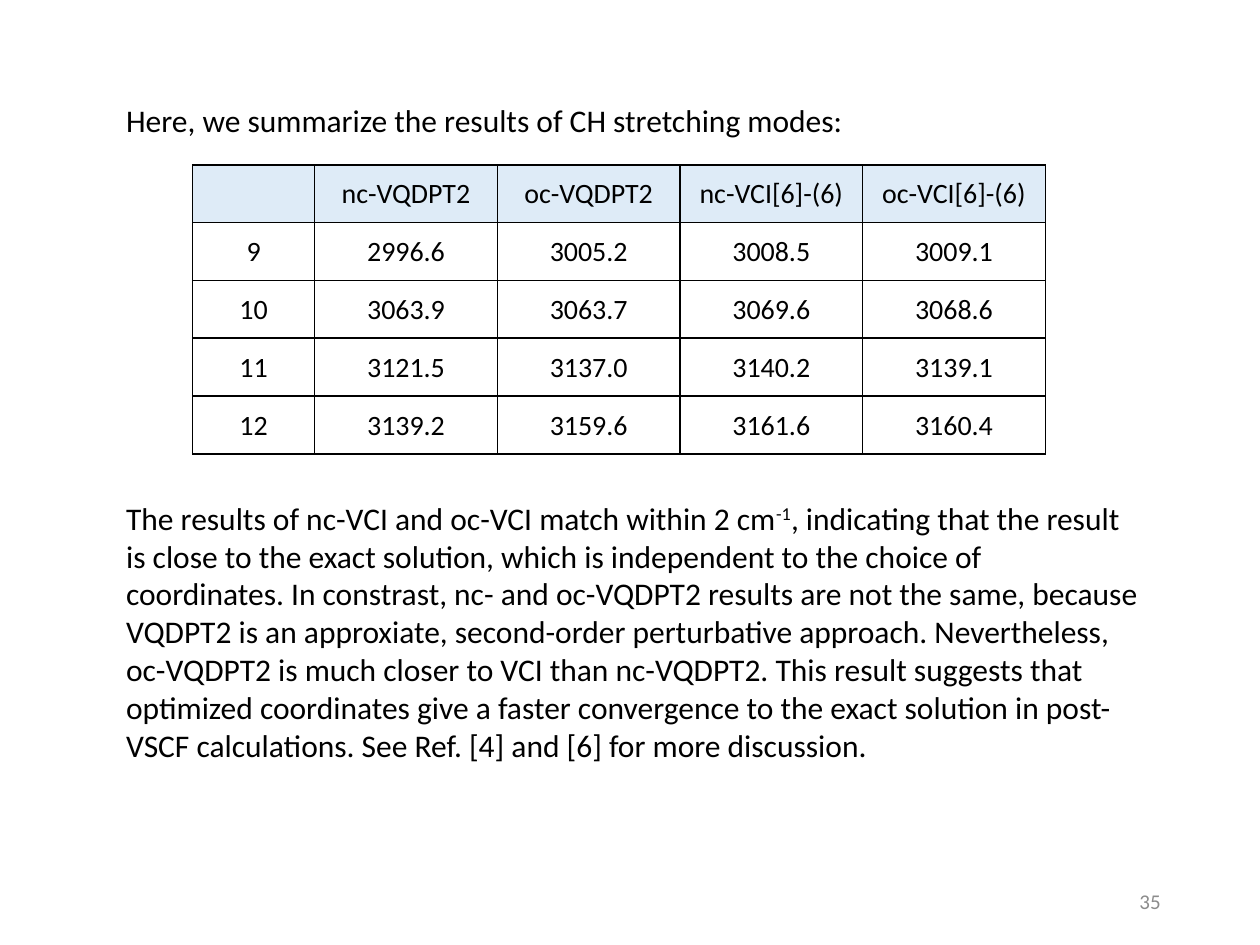
from lxml.etree import SubElement
from pptx import Presentation
from pptx.dml.color import RGBColor
from pptx.enum.text import MSO_ANCHOR, MSO_AUTO_SIZE, PP_ALIGN
from pptx.oxml.ns import qn
from pptx.util import Pt

BLACK, GRAY, WHITE, HEADER_BLUE = "000000", "8C8C8C", "FFFFFF", "DEEBF7"

FREQUENCIES = [
    ["", "nc-VQDPT2", "oc-VQDPT2", "nc-VCI[6]-(6)", "oc-VCI[6]-(6)"],
    ["9", "2996.6", "3005.2", "3008.5", "3009.1"],
    ["10", "3063.9", "3063.7", "3069.6", "3068.6"],
    ["11", "3121.5", "3137.0", "3140.2", "3139.1"],
    ["12", "3139.2", "3159.6", "3161.6", "3160.4"],
]
INTRO = "Here, we summarize the results of CH stretching modes:"
DISCUSSION = (
    "The results of nc-VCI and oc-VCI match within 2 cm",
    "-1",
    ", indicating that the result is close to the exact solution, which is "
    "independent to the choice of coordinates. In constrast, nc- and oc-VQDPT2 "
    "results are not the same, because VQDPT2 is an approxiate, second-order "
    "perturbative approach. Nevertheless, oc-VQDPT2 is much closer to VCI than "
    "nc-VQDPT2. This result suggests that optimized coordinates give a faster "
    "convergence to the exact solution in post-VSCF calculations. "
    "See Ref. [4] and [6] for more discussion.",
)


def color(hex_string):
    return RGBColor.from_string(hex_string)


def set_font(font, size, hex_string=BLACK):
    for name, value in {"name": "Calibri", "size": Pt(size), "bold": False}.items():
        setattr(font, name, value)
    font.color.rgb = color(hex_string)


def add_text(slide, box, parts, size=18, hex_string=BLACK, align=PP_ALIGN.LEFT, **frame_format):
    """Write one paragraph; every second part is a superscript."""
    frame = slide.shapes.add_textbox(*map(Pt, box)).text_frame
    for name, value in {"word_wrap": True, **frame_format}.items():
        setattr(frame, name, value)
    paragraph = frame.paragraphs[0]
    paragraph.alignment = align
    for index, part in enumerate(parts):
        run = paragraph.add_run()
        run.text = part
        set_font(run.font, size, hex_string)
        if index % 2:
            run.font._element.set("baseline", "30000")


def add_borders(cell, hex_string=BLACK, width=1):
    properties = cell._tc.get_or_add_tcPr()
    for side in ("lnL", "lnR", "lnT", "lnB"):
        line = SubElement(properties, qn(f"a:{side}"), w=str(Pt(width)))
        fill = SubElement(line, qn("a:solidFill"))
        SubElement(fill, qn("a:srgbClr"), val=hex_string)


def add_frequency_table(slide, box, rows, label_width=69.84):
    left, top, width, height = box
    table = slide.shapes.add_table(len(rows), len(rows[0]), *map(Pt, box)).table
    table.first_row = table.horz_banding = False
    value_width = (width - label_width) / (len(rows[0]) - 1)
    for index, column in enumerate(table.columns):
        column.width = Pt(value_width if index else label_width)
    cell_format = {
        "margin_left": Pt(0.72), "margin_right": Pt(0.72),
        "margin_top": Pt(0.72), "margin_bottom": 0,
        "vertical_anchor": MSO_ANCHOR.MIDDLE,
    }
    for row_index, values in enumerate(rows):
        table.rows[row_index].height = Pt(height / len(rows))
        for column_index, value in enumerate(values):
            cell = table.cell(row_index, column_index)
            for name, setting in cell_format.items():
                setattr(cell, name, setting)
            add_borders(cell)
            cell.fill.solid()
            cell.fill.fore_color.rgb = color(WHITE if row_index else HEADER_BLUE)
            cell.text = value
            paragraph = cell.text_frame.paragraphs[0]
            paragraph.alignment = PP_ALIGN.CENTER
            for run in paragraph.runs:
                set_font(run.font, 16)


def add_results_slide(presentation):
    slide = presentation.slides.add_slide(presentation.slide_layouts[6])
    add_text(slide, (508.3, 500.4, 162, 28.8), ["35"], size=12, hex_string=GRAY,
             align=PP_ALIGN.RIGHT, vertical_anchor=MSO_ANCHOR.MIDDLE)
    add_frequency_table(slide, (110, 94.2, 487.4, 165.2), FREQUENCIES)
    add_text(slide, (65, 54, 429, 29), [INTRO], word_wrap=False,
             auto_size=MSO_AUTO_SIZE.SHAPE_TO_FIT_TEXT)
    add_text(slide, (65, 281.5, 595.4, 160), DISCUSSION,
             auto_size=MSO_AUTO_SIZE.SHAPE_TO_FIT_TEXT)


def main():
    presentation = Presentation()
    presentation.slide_width, presentation.slide_height = Pt(720), Pt(540)
    add_results_slide(presentation)
    presentation.save("out.pptx")


if __name__ == "__main__":
    main()
